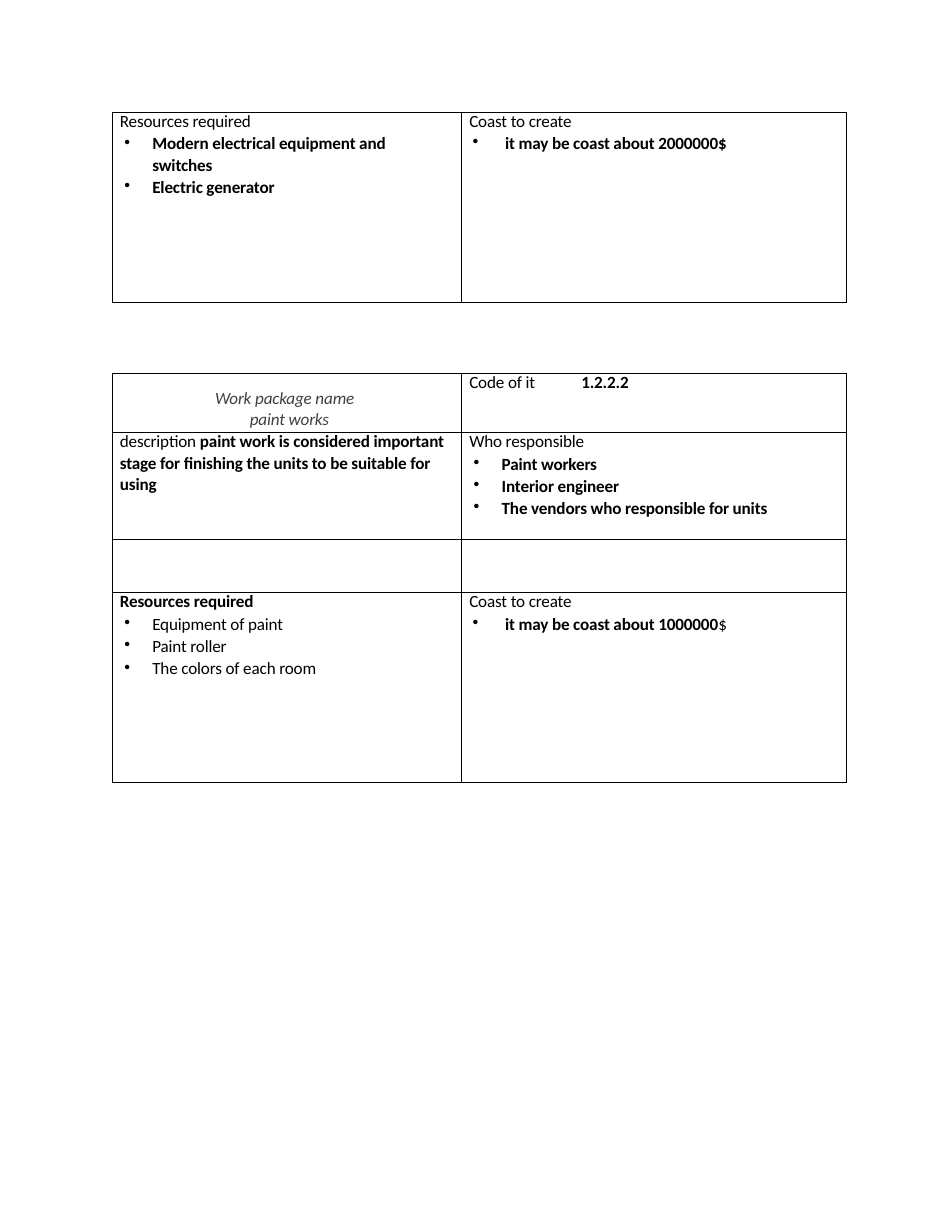
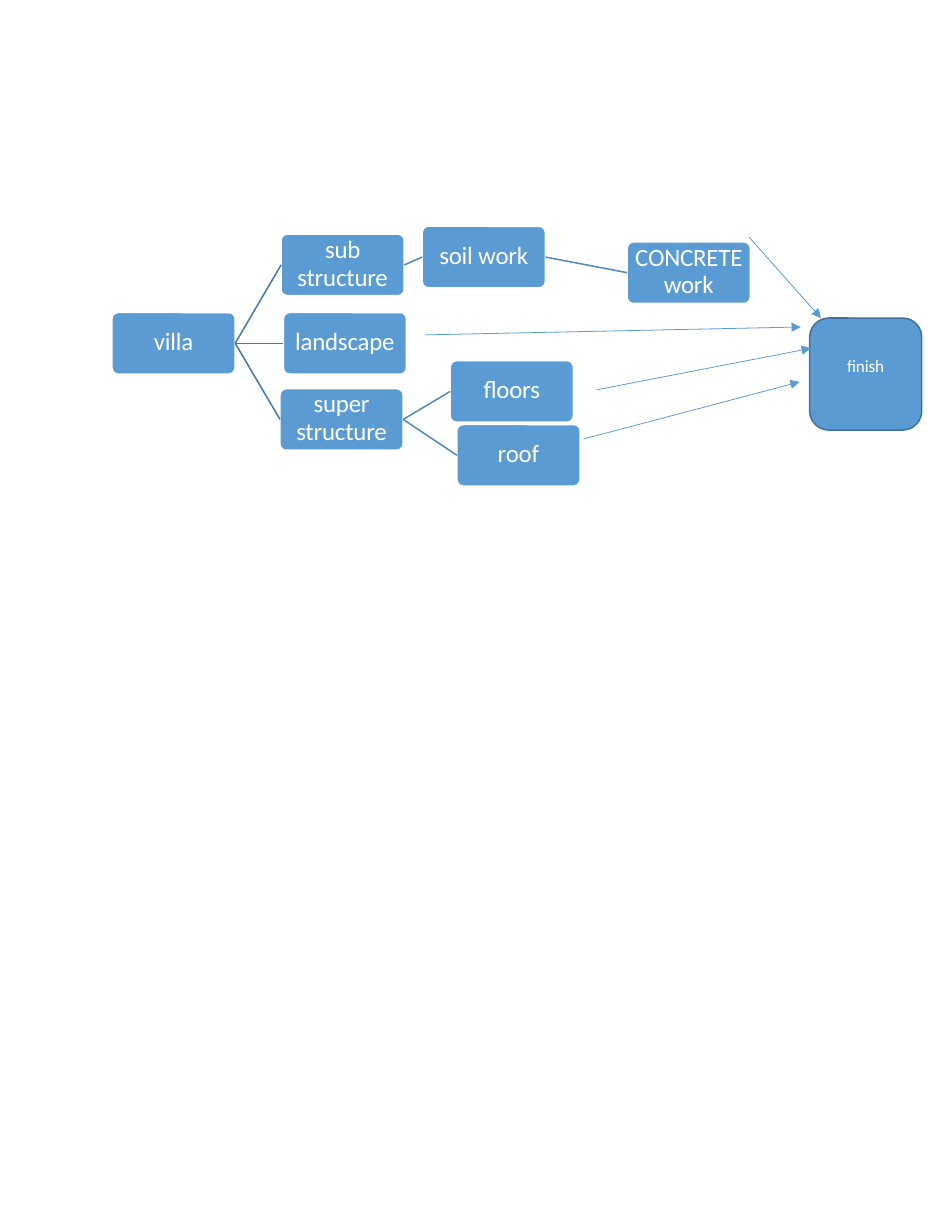
"""Build two letter pages: work package tables and a villa work breakdown diagram."""
from dataclasses import dataclass
from typing import Any, Optional, Union

from lxml.etree import SubElement
from pptx import Presentation
from pptx.dml.color import RGBColor
from pptx.enum.shapes import MSO_CONNECTOR, MSO_SHAPE
from pptx.enum.text import MSO_ANCHOR, PP_ALIGN
from pptx.oxml import parse_xml
from pptx.oxml.ns import nsdecls, qn
from pptx.util import Inches, Length, Pt

BLACK = RGBColor(0x00, 0x00, 0x00)
GRAY = RGBColor(0x40, 0x40, 0x40)
WHITE = RGBColor(0xFF, 0xFF, 0xFF)
BLUE = RGBColor(0x5B, 0x9B, 0xD4)
FIRST_LINK = RGBColor(0x46, 0x7A, 0xA9)
SECOND_LINK = RGBColor(0x52, 0x8B, 0xC1)
FINISH_LINE = RGBColor(0x41, 0x70, 0x9C)

SLIDE_WIDTH, SLIDE_HEIGHT = Inches(8.5), Inches(11)
GRID_COLUMNS, GRID_ROWS = 85, 110
FONT = "Calibri"
TIGHT_SPACING = "-10"


def across(columns: float) -> Length:
    """Turn grid columns into a length."""
    return Length(round(SLIDE_WIDTH * columns / GRID_COLUMNS))


def down(rows: float) -> Length:
    """Turn grid rows into a length."""
    return Length(round(SLIDE_HEIGHT * rows / GRID_ROWS))


@dataclass(frozen=True)
class Style:
    """Paragraph layout, with indents in grid columns."""
    left: float = 0.7
    first: float = 0
    right: float = 0
    spacing: Union[float, Length] = 1.02
    before: float = 0
    bullet: bool = False
    tab: Optional[float] = None
    color: RGBColor = BLACK
    italic: bool = False


@dataclass(frozen=True)
class Line:
    """One table paragraph made of (text, bold) runs."""
    style: Style
    runs: tuple[tuple[str, bool], ...]


@dataclass(frozen=True)
class Node:
    """A rounded box of the diagram, placed on the grid."""
    text: str
    column: float
    row: float
    width: float = 11
    height: float = 5.5
    size: float = 16
    outline: RGBColor = WHITE
    corner: float = 0.1
    lift: float = 0.3


@dataclass(frozen=True)
class Link:
    """A straight line between the facing sides of two nodes."""
    start: str
    end: str
    color: RGBColor


@dataclass(frozen=True)
class Arrow:
    """A free arrow between two grid points."""
    start: tuple[float, float]
    end: tuple[float, float]


HEADING = Style(spacing=Pt(12.9))
CODE = Style(spacing=Pt(12.9), tab=9.9)
BODY = Style()
CAPTION = Style(left=12.3, first=-3.1, right=8, color=GRAY, italic=True)
BULLET = Style(left=3.6, first=-2.5, spacing=1.0, before=0.8, bullet=True)
NARROW_BULLET = Style(left=3.6, first=-2.5, right=3.5, before=0.6, bullet=True)
COST_BULLET = Style(left=3.9, first=-2.9, spacing=1.0, before=0.8, bullet=True)


def plain(style: Style, text: str) -> Line:
    """Make a regular line."""
    return Line(style, ((text, False),))


def bold(style: Style, text: str) -> Line:
    """Make a bold line."""
    return Line(style, ((text, True),))


TABLE_COLUMNS = (31.2, 34.4)
ELECTRICAL_ROWS = [
    (17, [
        [plain(HEADING, "Resources required"),
         bold(NARROW_BULLET, "Modern electrical equipment and switches"),
         bold(BULLET, "Electric generator")],
        [plain(HEADING, "Coast to create"),
         bold(COST_BULLET, "it may be coast about 2000000$")],
    ]),
]
PAINT_ROWS = [
    (5.3, [
        [plain(CAPTION, "Work package name paint works")],
        [Line(CODE, (("Code of it\t", False), ("1.2.2.2", True)))],
    ]),
    (9.6, [
        [Line(HEADING, (("description ", False),
                        ("paint work is considered important", True))),
         bold(BODY, "stage for finishing the units to be suitable for using")],
        [plain(HEADING, "Who responsible"),
         bold(BULLET, "Paint workers"),
         bold(BULLET, "Interior engineer"),
         bold(BULLET, "The vendors who responsible for units")],
    ]),
    (4.7, [[], []]),
    (17, [
        [bold(HEADING, "Resources required"),
         plain(BULLET, "Equipment of paint"),
         plain(BULLET, "Paint roller"),
         plain(BULLET, "The colors of each room")],
        [plain(HEADING, "Coast to create"),
         Line(COST_BULLET, (("it may be coast about 1000000", True), ("$", False)))],
    ]),
]

NODES = [
    Node("villa", 10, 27.9),
    Node("sub structure", 25.1, 20.9),
    Node("soil work", 37.7, 20.2),
    Node("CONCRETE work", 56, 21.6),
    Node("landscape", 25.3, 27.9),
    Node("super structure", 25, 34.7),
    Node("floors", 40.2, 32.2),
    Node("roof", 40.8, 37.9),
    Node("finish", 72.3, 28.4, 10, 10, 11, FINISH_LINE, 0.17, 1.4),
]
LINKS = [
    Link("villa", "sub structure", FIRST_LINK),
    Link("villa", "landscape", FIRST_LINK),
    Link("villa", "super structure", FIRST_LINK),
    Link("sub structure", "soil work", SECOND_LINK),
    Link("soil work", "CONCRETE work", SECOND_LINK),
    Link("super structure", "floors", SECOND_LINK),
    Link("super structure", "roof", SECOND_LINK),
]
ARROWS = [
    Arrow((66.9, 21.2), (73.3, 28.4)),
    Arrow((38, 29.9), (71.5, 29.2)),
    Arrow((53.3, 34.8), (72.4, 31.1)),
    Arrow((52.1, 39.2), (71.4, 34.1)),
]


def apply(target: Any, values: dict[str, Any]) -> None:
    """Set each named attribute on the target."""
    for name, value in values.items():
        setattr(target, name, value)


def add_run(paragraph: Any, text: str, color: RGBColor, values: dict[str, Any]) -> None:
    """Add a tightly spaced run of text."""
    run = paragraph.add_run()
    run.text = text
    apply(run.font, {"name": FONT, **values})
    run.font.color.rgb = color
    run.font._element.set("spc", TIGHT_SPACING)


def write_line(paragraph: Any, line: Line) -> None:
    """Fill a table paragraph with its layout and runs."""
    style = line.style
    properties = paragraph._p.get_or_add_pPr()
    for name, columns in {"marL": style.left, "indent": style.first,
                          "marR": style.right}.items():
        properties.set(name, str(across(columns)))
    if style.bullet:
        SubElement(properties, qn("a:buChar"), char="•")
    if style.tab is not None:
        tabs = SubElement(properties, qn("a:tabLst"))
        SubElement(tabs, qn("a:tab"), pos=str(across(style.tab)), algn="l")
    apply(paragraph, {"line_spacing": style.spacing, "space_before": Pt(style.before)})
    for text, is_bold in line.runs:
        add_run(paragraph, text, style.color,
                {"size": Pt(11), "bold": is_bold, "italic": style.italic})


def format_cell(cell: Any, top_margin: Length) -> None:
    """Clear the cell fill and draw thin black borders."""
    apply(cell, {"margin_left": 0, "margin_right": 0,
                 "margin_top": top_margin, "margin_bottom": 0})
    cell.fill.background()
    properties = cell._tc.get_or_add_tcPr()
    for index, side in enumerate(("lnL", "lnR", "lnT", "lnB")):
        properties.insert(index, parse_xml(
            f'<a:{side} {nsdecls("a")} w="{Pt(0.5)}"><a:solidFill>'
            f'<a:srgbClr val="{BLACK}"/></a:solidFill></a:{side}>'))


def add_package_table(slide: Any, top: float, rows: list) -> None:
    """Draw one work package table."""
    frame = slide.shapes.add_table(
        len(rows), len(TABLE_COLUMNS), across(10), down(top),
        across(sum(TABLE_COLUMNS)), down(sum(height for height, _ in rows)))
    table = frame.table
    apply(table, {"first_row": False, "horz_banding": False})
    for column, width in zip(table.columns, TABLE_COLUMNS):
        column.width = across(width)
    for row, (height, contents) in zip(table.rows, rows):
        row.height = down(height)
        for cell, lines in zip(row.cells, contents):
            is_caption = any(line.style is CAPTION for line in lines)
            format_cell(cell, down(1.3 if is_caption else 0))
            for index, line in enumerate(lines):
                text_frame = cell.text_frame
                paragraph = text_frame.add_paragraph() if index else text_frame.paragraphs[0]
                write_line(paragraph, line)


def add_node(slide: Any, node: Node) -> Any:
    """Draw a diagram box with its label."""
    shape = slide.shapes.add_shape(
        MSO_SHAPE.ROUNDED_RECTANGLE, across(node.column), down(node.row),
        across(node.width), down(node.height))
    shape.adjustments[0] = node.corner
    shape.shadow.inherit = False
    shape.fill.solid()
    shape.fill.fore_color.rgb = BLUE
    shape.line.color.rgb = node.outline
    shape.line.width = Pt(1)
    apply(shape.text_frame, {
        "word_wrap": True, "vertical_anchor": MSO_ANCHOR.MIDDLE,
        "margin_left": across(0.3), "margin_right": across(0.3),
        "margin_top": 0, "margin_bottom": down(node.lift)})
    paragraph = shape.text_frame.paragraphs[0]
    apply(paragraph, {"alignment": PP_ALIGN.CENTER, "line_spacing": Pt(node.size * 1.12)})
    add_run(paragraph, node.text, WHITE, {"size": Pt(node.size)})
    return shape


def add_line(slide: Any, arrow: Arrow, color: RGBColor, width: float) -> Any:
    """Draw a straight connector without a shadow."""
    connector = slide.shapes.add_connector(
        MSO_CONNECTOR.STRAIGHT, across(arrow.start[0]), down(arrow.start[1]),
        across(arrow.end[0]), down(arrow.end[1]))
    connector.line.color.rgb = color
    connector.line.width = Pt(width)
    SubElement(connector._element.spPr, qn("a:effectLst"))
    return connector


def add_diagram(slide: Any) -> None:
    """Draw the villa boxes, their links and the arrows to the finish."""
    shapes = {node.text: add_node(slide, node) for node in NODES}
    for link in LINKS:
        connector = add_line(slide, Arrow((0, 0), (1, 1)), link.color, 1)
        connector.begin_connect(shapes[link.start], 3)
        connector.end_connect(shapes[link.end], 1)
    for arrow in ARROWS:
        connector = add_line(slide, arrow, BLUE, 0.5)
        SubElement(connector.line._get_or_add_ln(), qn("a:tailEnd"), type="triangle")


def main() -> None:
    """Build and save the presentation."""
    presentation = Presentation()
    apply(presentation, {"slide_width": SLIDE_WIDTH, "slide_height": SLIDE_HEIGHT})
    blank = presentation.slide_layouts[6]
    packages = presentation.slides.add_slide(blank)
    add_package_table(packages, 10, ELECTRICAL_ROWS)
    add_package_table(packages, 33.3, PAINT_ROWS)
    add_diagram(presentation.slides.add_slide(blank))
    presentation.save("out.pptx")


if __name__ == "__main__":
    main()
